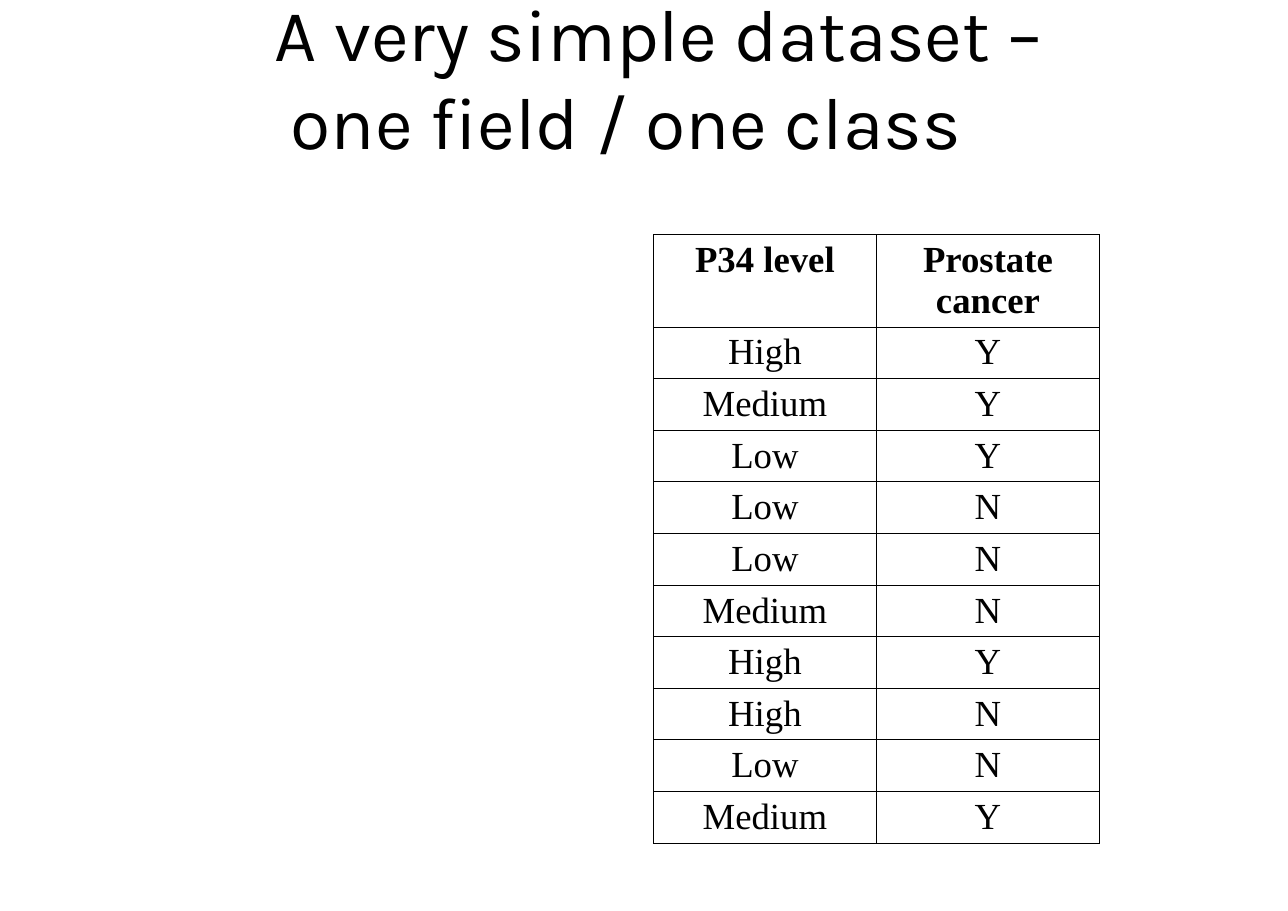
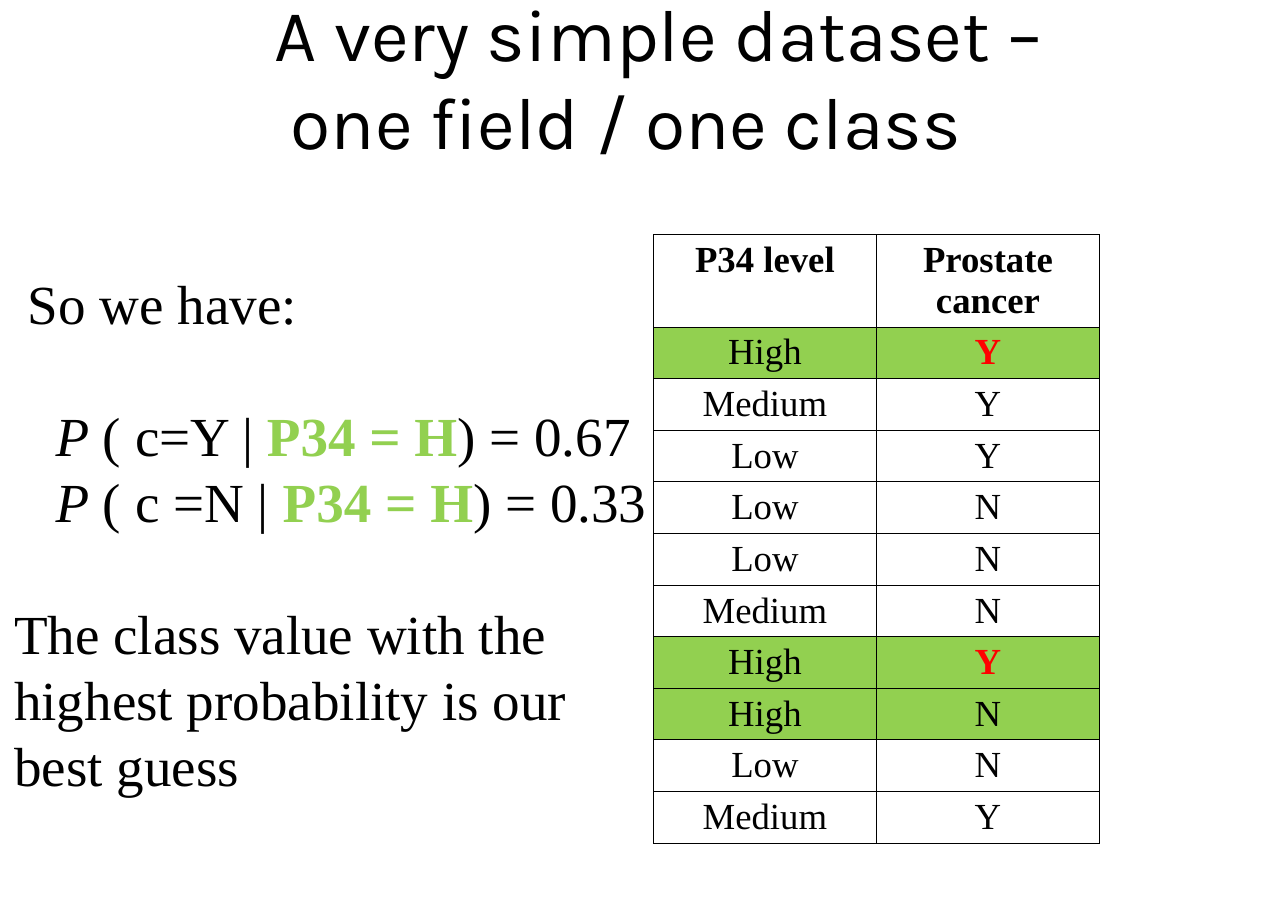
import dataclasses
import typing

import pptx
import pptx.dml.color
import pptx.enum.text
import pptx.oxml
import pptx.oxml.ns
import pptx.presentation
import pptx.slide
import pptx.table
import pptx.text.text
import pptx.util

SLIDE_WIDTH = pptx.util.Inches(11.69)
SLIDE_HEIGHT = pptx.util.Inches(8.27)
TITLE_FONT = "Karla"
BODY_FONT = "Times New Roman"
BLACK, WHITE, GREEN, RED = "000000", "FFFFFF", "92D050", "FF0000"
BODY_SIZE, BODY_LINE = 36, 43.1
CELL_SIZE, CELL_LINE = 24, 26.5
BORDER_WIDTH = pptx.util.Pt(0.45)
TITLE_TEXT = "A very simple dataset – \vone field / one class\t"
TITLE_TAB = pptx.util.Inches(6.84)
HEADINGS = ("P34 level", "Prostate cancer")


class Record(typing.NamedTuple):
    level: str
    cancer: str


class Area(typing.NamedTuple):
    left: float
    top: float
    width: float
    height: float

    def lengths(self) -> tuple[int, int, int, int]:
        return across(self.left), down(self.top), across(self.width), down(self.height)


@dataclasses.dataclass(frozen=True)
class Span:
    text: str
    color: str = BLACK
    bold: bool = False
    italic: bool = False


@dataclasses.dataclass(frozen=True)
class Line:
    spans: tuple[Span, ...]
    indent: float = 0
    before: float = 0


RECORDS = [
    Record(*pair.split())
    for pair in (
        "High Y", "Medium Y", "Low Y", "Low N", "Low N",
        "Medium N", "High Y", "High N", "Low N", "Medium Y",
    )
]
TITLE_AREA = Area(3.68, 0, 96.32, 16.69)
TABLE_AREA = Area(50.73, 25.76, 34.64, 58.77)
NOTES_AREA = Area(0.26, 21.77, 50.81, 73.76)
HEADING_SHARE, RECORD_SHARE = 9.67, 4.91


def across(percent: float) -> int:
    return round(SLIDE_WIDTH * percent / 100)


def down(percent: float) -> int:
    return round(SLIDE_HEIGHT * percent / 100)


def rgb(color: str) -> pptx.dml.color.RGBColor:
    return pptx.dml.color.RGBColor.from_string(color)


def write(
    para: typing.Any,
    text: str,
    *,
    font: str = BODY_FONT,
    size: float = BODY_SIZE,
    line: float = BODY_LINE,
    color: str = BLACK,
    bold: bool = False,
    italic: bool = False,
    align: pptx.enum.text.PP_ALIGN = pptx.enum.text.PP_ALIGN.LEFT,
) -> None:
    para.alignment = align
    para.line_spacing = pptx.util.Pt(line)
    for number, piece in enumerate(text.split("\v")):
        if number:
            para.add_line_break()
        span = para.add_run()
        span.text = piece
        span.font.name = font
        span.font.size = pptx.util.Pt(size)
        span.font.bold = bold
        span.font.italic = italic
        span.font.color.rgb = rgb(color)


def set_insets(frame: typing.Any, left: float, top: float, right: float, bottom: float) -> None:
    frame.margin_left = pptx.util.Inches(left)
    frame.margin_top = pptx.util.Inches(top)
    frame.margin_right = pptx.util.Inches(right)
    frame.margin_bottom = pptx.util.Inches(bottom)


def add_title_slide(deck: pptx.presentation.Presentation) -> pptx.slide.Slide:
    slide = deck.slides.add_slide(deck.slide_layouts[5])
    title = slide.shapes.title
    title.left, title.top, title.width, title.height = TITLE_AREA.lengths()
    frame = title.text_frame
    frame.word_wrap = True
    frame.auto_size = pptx.enum.text.MSO_AUTO_SIZE.NONE
    frame.vertical_anchor = pptx.enum.text.MSO_ANCHOR.MIDDLE
    set_insets(frame, 0.11, 0.06, 0.11, 0.06)
    para = frame.paragraphs[0]
    write(
        para, TITLE_TEXT, font=TITLE_FONT, size=48, line=57.6,
        align=pptx.enum.text.PP_ALIGN.CENTER,
    )
    tabs = pptx.oxml.parse_xml(
        f'<a:tabLst {pptx.oxml.ns.nsdecls("a")}><a:tab pos="{TITLE_TAB}" algn="l"/></a:tabLst>'
    )
    para._p.get_or_add_pPr().append(tabs)
    return slide


def format_cell(cell: typing.Any, text: str, fill: str, color: str, bold: bool) -> None:
    properties = cell._tc.get_or_add_tcPr()
    for side in ("lnL", "lnR", "lnT", "lnB"):
        properties.append(pptx.oxml.parse_xml(
            f'<a:{side} {pptx.oxml.ns.nsdecls("a")} w="{BORDER_WIDTH}">'
            f'<a:solidFill><a:srgbClr val="{BLACK}"/></a:solidFill></a:{side}>'
        ))
    cell.fill.solid()
    cell.fill.fore_color.rgb = rgb(fill)
    write(
        cell.text_frame.paragraphs[0], text, size=CELL_SIZE, line=CELL_LINE,
        color=color, bold=bold, align=pptx.enum.text.PP_ALIGN.CENTER,
    )


def add_records(slide: pptx.slide.Slide, marked_level: str = "") -> None:
    table = slide.shapes.add_table(
        len(RECORDS) + 1, len(HEADINGS), *TABLE_AREA.lengths()
    ).table
    table.first_row = False
    table.horz_banding = False
    for column in table.columns:
        column.width = across(TABLE_AREA.width / len(HEADINGS))
    for number, row in enumerate(table.rows):
        row.height = down(RECORD_SHARE if number else HEADING_SHARE)
    for cell, heading in zip(table.rows[0].cells, HEADINGS):
        format_cell(cell, heading, WHITE, BLACK, True)
    for number, record in enumerate(RECORDS, start=1):
        marked = record.level == marked_level
        for cell, text in zip(table.rows[number].cells, record):
            hit = marked and text == "Y"
            format_cell(cell, text, GREEN if marked else WHITE, RED if hit else BLACK, hit)


def probability(condition: str, value: str, before: float = 0) -> Line:
    return Line(
        (
            Span("P", italic=True),
            Span(f" ( {condition} | "),
            Span("P34 = H", color=GREEN, bold=True),
            Span(f") = {value}"),
        ),
        indent=27,
        before=before,
    )


def add_notes(slide: pptx.slide.Slide, lines: list[Line]) -> None:
    box = slide.shapes.add_textbox(*NOTES_AREA.lengths())
    frame = box.text_frame
    frame.word_wrap = True
    set_insets(frame, 0.1, 0.65, 0, 0.05)
    for number, line in enumerate(lines):
        para = frame.add_paragraph() if number else frame.paragraphs[0]
        para.space_before = pptx.util.Pt(line.before)
        para._p.get_or_add_pPr().set("marL", str(pptx.util.Pt(line.indent)))
        for span in line.spans:
            write(para, span.text, color=span.color, bold=span.bold, italic=span.italic)


def main() -> None:
    deck = pptx.Presentation()
    deck.slide_width = SLIDE_WIDTH
    deck.slide_height = SLIDE_HEIGHT

    add_records(add_title_slide(deck))

    answer = add_title_slide(deck)
    add_records(answer, marked_level="High")
    add_notes(answer, [
        Line((Span("So we have:"),), indent=9),
        probability("c=Y", "0.67", before=BODY_LINE),
        probability("c =N", "0.33"),
        Line((Span("The class value with the"),), before=BODY_LINE),
        Line((Span("highest probability is our"),)),
        Line((Span("best guess"),)),
    ])
    deck.save("out.pptx")


if __name__ == "__main__":
    main()
